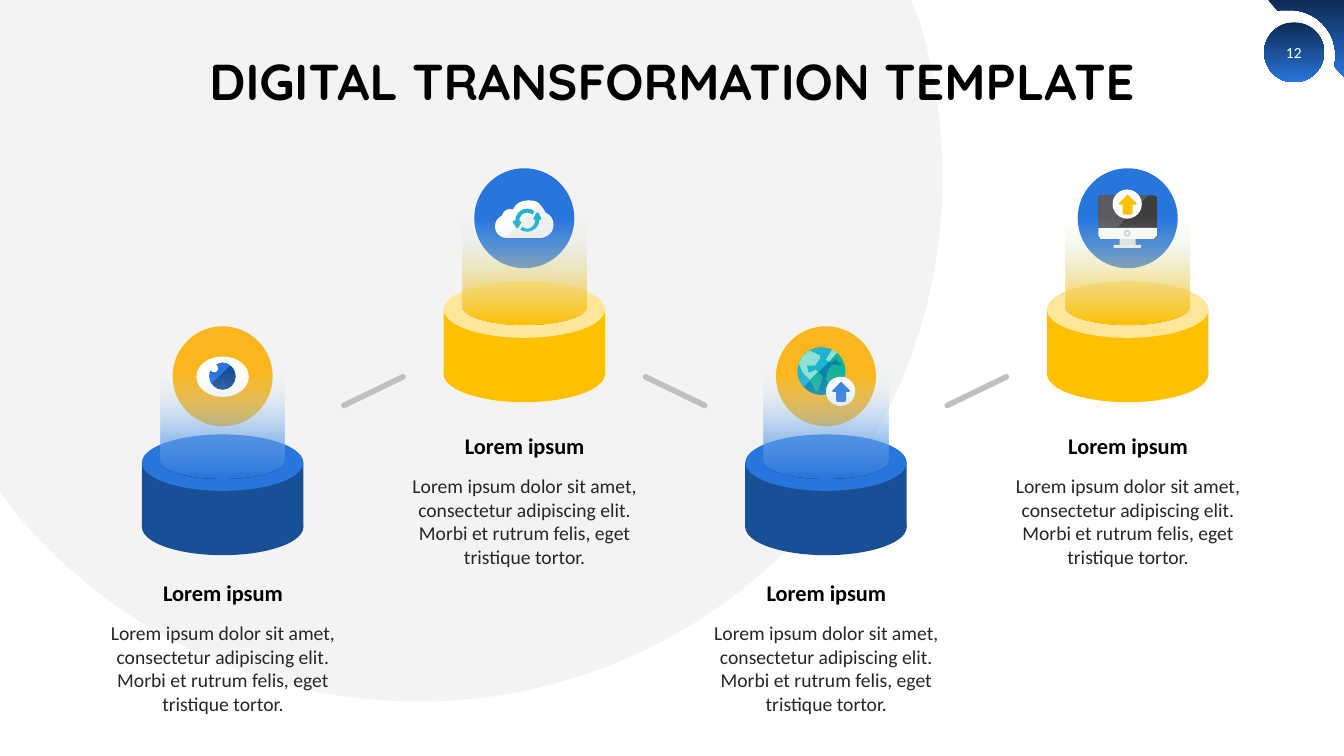
from lxml import etree
from pptx import Presentation
from pptx.dml.color import RGBColor
from pptx.enum.shapes import MSO_CONNECTOR, MSO_SHAPE
from pptx.enum.text import MSO_ANCHOR, PP_ALIGN
from pptx.oxml.ns import qn
from pptx.util import Pt

OVAL, RECT, DONUT = MSO_SHAPE.OVAL, MSO_SHAPE.RECTANGLE, MSO_SHAPE.DONUT
ROUND = MSO_SHAPE.ROUNDED_RECTANGLE
STRAIGHT = MSO_CONNECTOR.STRAIGHT
MIDDLE, CENTER = MSO_ANCHOR.MIDDLE, PP_ALIGN.CENTER

TITLE = "DIGITAL TRANSFORMATION TEMPLATE"
PAGE = "12"
HEADING = "Lorem ipsum"
BODY = ("Lorem ipsum dolor sit amet, consectetur adipiscing elit. "
        "Morbi et rutrum felis, eget tristique tortor.")

BLUE, NAVY, DEEP, GOLD, WHITE = "2875DC", "0D2B53", "184F95", "FFC000", "FFFFFF"
GREY, CYAN, GREEN, MINT, PALE = "BFBFBF", "21B2D1", "17B198", "8CE3D4", "F0F1F1"

TITLE_FONT = dict(name="Quicksand", size=Pt(36), bold=True)
PAGE_FONT = dict(name="Calibri", size=Pt(11))
HEADING_FONT = dict(name="Calibri", size=Pt(16), bold=True)
BODY_FONT = dict(name="Calibri", size=Pt(14))

UNIT = 0.72
BACKDROP = ("M 0 0 L 904 0 L 912 21 C 927 70 935 122 935 176 C 935 463 702 696 415 696 "
            "C 254 696 109 622 14 507 L 0 488")
CORNER = ("M 1333.33 76 L 1333.33 0 L 1258 0 L 1268 11 L 1270 10 L 1279 10 "
          "C 1305 10 1325 30 1325 56 L 1324 66")
BEAM = ("M -61.7 0 L 61.7 0 L 61.7 177 C 61.7 187 34 195 0 195 "
        "C -34 195 -61.7 187 -61.7 177")
ARROW = ("M -9 35 L -8 36 L -5 36 L -5 44 L -4 46 L 4 46 L 5 44 L 5 36 L 8 36 "
         "L 9 35 L 1 27 L 0 26 L -1 27")
PUPIL = ("M 0 36 C -2 36 -4 37 -6 38 C -5 39 -4 40 -4 42 C -4 44 -6 46 -8 46 "
         "C -10 46 -11 45 -12 44 C -13 45 -13 47 -13 50 ")
WEST = ("M -10 43 L -17 46 L -19 39 L -11 39 L -6 32 L -6 29 L -16 24 "
        "C -22 27 -25 31 -27 37 L -23 46 ")

EYE = [
    ((OVAL, -26, 30, 52, 40), WHITE),
    (PUPIL + "C -13 57 -7 63 0 63 C 7 63 13 57 13 50 C 13 42 7 36 0 36", DEEP),
    (PUPIL + "C -13 52 -13 54 -11 57 L 7 39 C 5 37 2 36 0 36", BLUE),
]
CLOUD = [
    ("M 29 56 C 29 50 26 46 21 44 C 17 35 11 32 4 32 C -3 32 -9 35 -11 41 "
     "C -16 39 -21 42 -22 47 C -26 49 -29 53 -29 58 C -29 64 -24 69 -18 69 L 18 69 "
     "C 18 69 29 67 29 56", PALE),
    ("M 4 32 C -3 32 -9 35 -11 41 L -14 41 C -18 41 -21 43 -22 47 "
     "C -26 49 -29 53 -29 58 C -29 63 -25 68 -19 69 L 15 35 C 12 32 8 32 4 32", WHITE),
    ("M -4 52 L -5 52 C -5 48 -2 44 3 44 C 5 44 7 45 8 46 L 10 43 C 8 41 6 40 3 40 "
     "C -4 40 -9 46 -9 52 L -11 52 L -11 54 L -8 59 L -6 59 L -3 54", CYAN),
    ("M 17 50 L 14 44 L 12 44 L 9 50 L 9 51 L 11 51 C 11 56 7 60 3 60 "
     "C 1 60 -1 59 -2 58 L -4 61 C -2 62 0 63 3 63 C 9 63 15 58 15 51 L 17 51", CYAN),
]
GLOBE = [
    ((OVAL, -28, 21, 47, 47), "0484AB"),
    ("M -5 21 C -18 21 -28 31 -28 44 C -28 50 -26 56 -22 60 L 11 27 C 6 23 1 21 -5 21", CYAN),
    (WEST + "L -18 50 L -10 64 L -8 64 L -3 50", GREEN),
    (WEST + "L -18 51 L -16 53 L -8 45", MINT),
    ("M 19 44 C 19 35 14 27 6 23 L 0 33 L 5 36 L 10 32 L 12 36 L 15 36 L 15 39 L 6 38 "
     "L 2 43 L 0 53 L 4 58 L 5 65 C 13 62 19 54 19 44", GREEN),
    ("M 0 33 L 3 35 L 11 26 L 6 23", MINT),
]
MONITOR = [
    ((ROUND, -29, 27, 58, 43), "3E3E3F"),
    ((RECT, -8, 70, 16, 7), "E2E4E5"),
    ((ROUND, -14, 76, 27, 3), PALE),
    ("M 29 59 L -29 59 L -29 67 L -27 70 L 26 70 L 29 67", WHITE),
    ((DONUT, -4, 61, 7, 7), "CFD3D4"),
    ("M -29 30 L -29 59 L -11 59 L 20 27 L -27 27", "5B5C5F"),
]
ADJUST = {DONUT: 0.28, ROUND: 0.06}

LOW = dict(disc=233.1, ring=310.3, beam=201.6, text=413.3,
           colors=("F9B61F", DEEP, BLUE, BLUE))
HIGH = dict(disc=120.2, ring=201, beam=91.4, text=308.2,
            colors=(BLUE, GOLD, "FFE699", GOLD))
STATIONS = [
    (LOW, EYE, None),
    (HIGH, CLOUD, None),
    (LOW, GLOBE, (15, 29, BLUE)),
    (HIGH, MONITOR, (0, 0, GOLD)),
]
FIRST, STEP = 159, 215.5
DISC, PED_W, RING_H, WALL_H = 71.4, 115.4, 40.3, 46


def rgb(color):
    return RGBColor.from_string(color)


def paint(sp, color):
    sp.shadow.inherit = False
    sp.line.fill.background()
    if isinstance(color, str):
        sp.fill.solid()
        sp.fill.fore_color.rgb = rgb(color)
    else:
        sp.fill.gradient()
        sp.fill.gradient_angle = 270
        for stop, (pos, c) in zip(sp.fill.gradient_stops, color):
            stop.position = pos
            stop.color.rgb = rgb(c)
    return sp


def fade(sp, percent):
    clr = next(sp.element.spPr.iter(qn("a:srgbClr")))
    etree.SubElement(clr, qn("a:alpha"), val=str(percent * 1000))


def shape(kind, x, y, w, h, color):
    return paint(s.shapes.add_shape(kind, Pt(x), Pt(y), Pt(w), Pt(h)), color)


def outline(d, x, y, color):
    pts, curves = [], []
    for part in d.replace("L", "|L").replace("C", "|C").split("|"):
        n = [float(v) for v in part.split()[1:]]
        if part[0] == "C":
            curves.append(len(pts) - 1)
        pts += [(Pt(x + px * UNIT), Pt(y + py * UNIT)) for px, py in zip(n[::2], n[1::2])]
    fb = s.shapes.build_freeform(*pts[0], scale=1.0)
    fb.add_line_segments(pts[1:], close=True)
    sp = fb.convert_to_shape()
    segments = list(sp.element.spPr.iter(qn("a:lnTo")))
    for k in curves:
        curve, *rest = segments[k:k + 3]
        curve.tag = qn("a:cubicBezTo")
        for seg in rest:
            curve.append(seg[0])
            seg.getparent().remove(seg)
    return paint(sp, color)


def draw_icon(parts, x, y):
    for geometry, color in parts:
        if isinstance(geometry, str):
            outline(geometry, x, y, color)
            continue
        kind, left, top, w, h = geometry
        sp = shape(kind, x + left * UNIT, y + top * UNIT, w * UNIT, h * UNIT, color)
        if kind in ADJUST:
            sp.adjustments[0] = ADJUST[kind]


def write(sp, text, font, color, inset=None):
    tf = sp.text_frame
    tf.word_wrap, tf.vertical_anchor = True, MIDDLE
    if inset is not None:
        for side in ("left", "top", "right", "bottom"):
            setattr(tf, "margin_" + side, Pt(inset))
    p = tf.paragraphs[0]
    p.alignment = CENTER
    r = p.add_run()
    r.text = text
    for key, value in font.items():
        setattr(r.font, key, value)
    r.font.color.rgb = rgb(color)
    return p


def label(x, y, w, h, *args):
    write(s.shapes.add_textbox(Pt(x), Pt(y), Pt(w), Pt(h)), *args)


prs = Presentation()
prs.slide_width, prs.slide_height = Pt(960), Pt(540)
s = prs.slides.add_slide(prs.slide_layouts[5])

fade(outline(BACKDROP, 0, 0, GREY), 18)
outline(CORNER, 0, 0, [(0, NAVY), (1, BLUE)])
shape(OVAL, 903, 16, 42.8, 42.8, [(0, NAVY), (1, BLUE)])
label(909.4, 23, 29.5, 28.8, PAGE, PAGE_FONT, WHITE)

title = s.shapes.title
title.left, title.top, title.width, title.height = Pt(66), Pt(28.8), Pt(828), Pt(62)
write(title, TITLE, TITLE_FONT, "000000").line_spacing = 0.9
s.shapes.element.append(title.element)

for i, (level, icon, badge) in enumerate(STATIONS):
    x = FIRST + i * STEP
    disc, ring, text = level["disc"], level["ring"], level["text"]
    disc_color, wall_color, ring_color, beam_color = level["colors"]
    left = x - PED_W / 2
    shape(OVAL, x - DISC / 2, disc, DISC, DISC, disc_color)
    shape(OVAL, left, ring + WALL_H, PED_W, RING_H, wall_color)
    shape(RECT, left, ring + RING_H / 2, PED_W, WALL_H, wall_color)
    shape(OVAL, left, ring, PED_W, RING_H, ring_color)
    draw_icon(icon, x, disc)
    if badge:
        dx, dy, color = badge
        draw_icon([((OVAL, -15, 21, 29, 29), WHITE), (ARROW, color)],
                  x + dx * UNIT, disc + dy * UNIT)
    fade(outline(BEAM, x, level["beam"], [(0.46, "D0EBF8"), (1, beam_color)]), 0)
    label(x - 67.7, text, 136, 19.5, HEADING, HEADING_FONT, "000000", 0)
    label(x - 87.2, text + 30.2, 175, 67.7, BODY, BODY_FONT, "262626", 0)

for i in range(len(STATIONS) - 1):
    mid = FIRST + (i + 0.5) * STEP
    y1, y2 = (289.6, 269.2) if i % 2 == 0 else (269.2, 289.6)
    line = s.shapes.add_connector(STRAIGHT, Pt(mid - 21.1), Pt(y1), Pt(mid + 21.1), Pt(y2))
    line.line.color.rgb = rgb(GREY)
    line.line.width = Pt(4)
    line.element.spPr.find(qn("a:ln")).set("cap", "rnd")
    etree.SubElement(line.element.spPr, qn("a:effectLst"))

prs.save("out.pptx")
